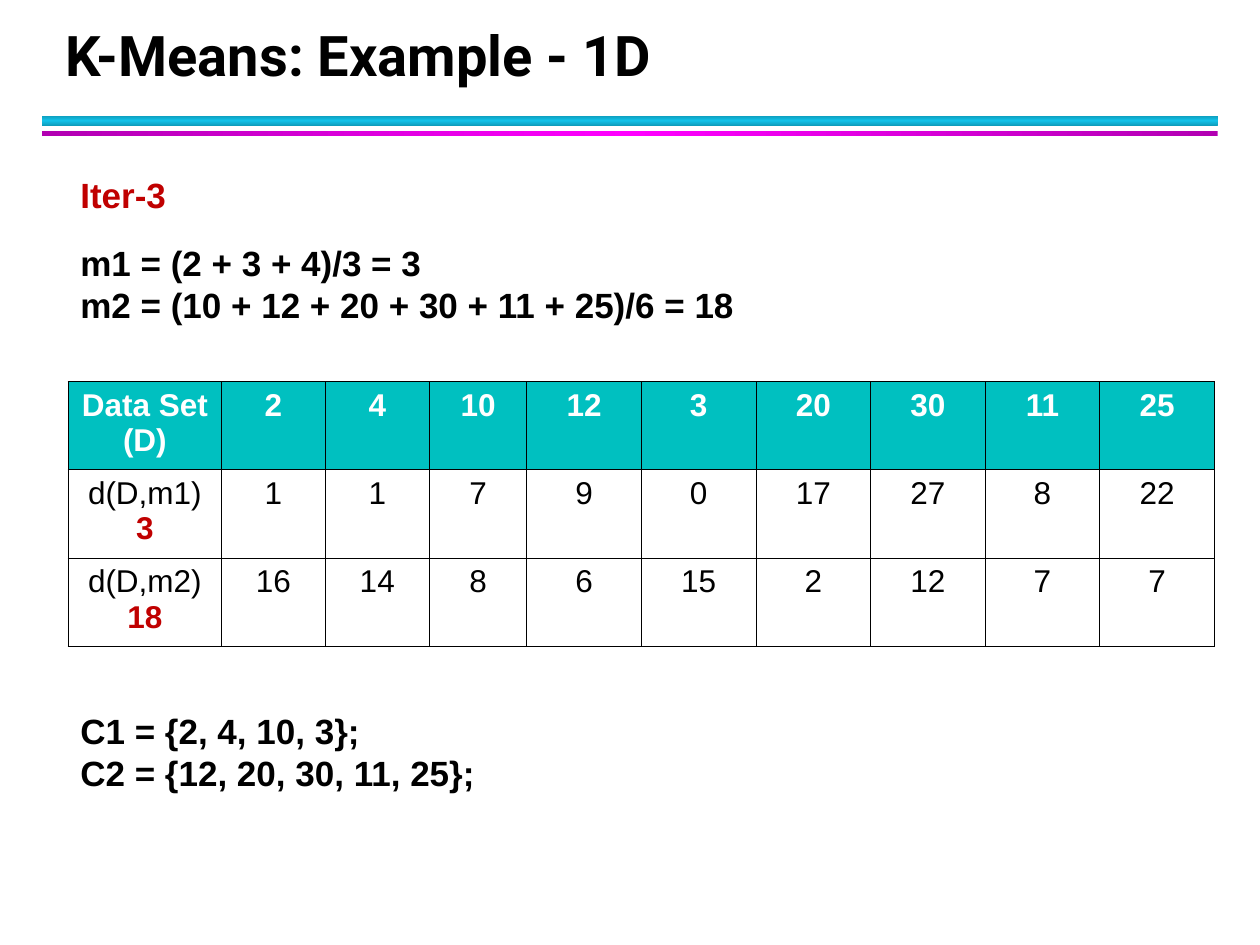
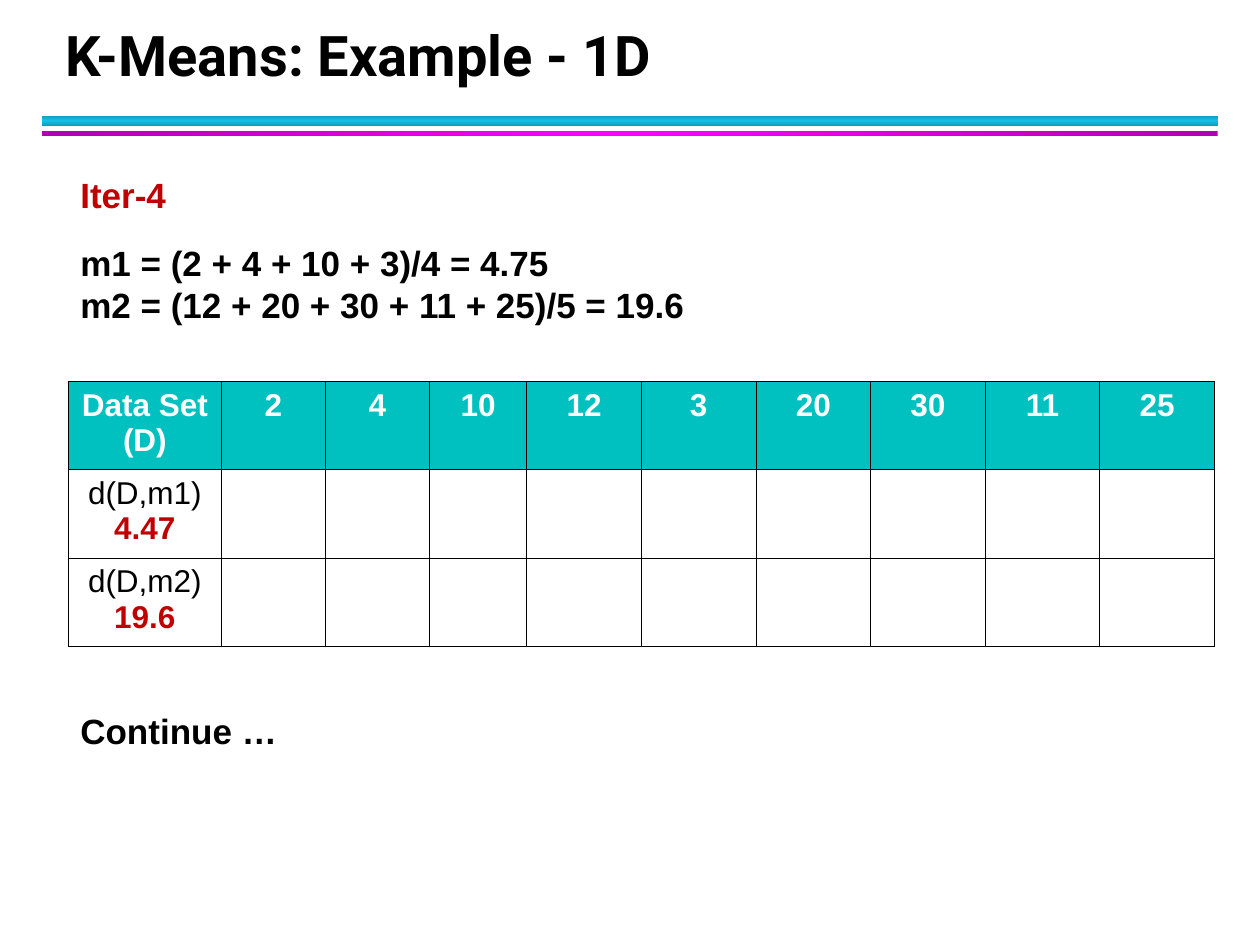
from dataclasses import dataclass

from lxml import etree
from copy import deepcopy
from pptx import Presentation
from pptx.dml.color import RGBColor
from pptx.enum.shapes import MSO_SHAPE
from pptx.enum.text import MSO_ANCHOR, MSO_AUTO_SIZE, PP_ALIGN
from pptx.oxml.ns import qn
from pptx.slide import Slide, SlideLayout
from pptx.text.text import TextFrame
from pptx.util import Cm, Pt

RECT = MSO_SHAPE.RECTANGLE
LOW = MSO_ANCHOR.BOTTOM
FIXED = MSO_AUTO_SIZE.NONE
LEFT, MID = PP_ALIGN.LEFT, PP_ALIGN.CENTER

BLACK, WHITE, RED, TEAL = "000000", "FFFFFF", "C00000", "00C0C0"
TITLE = "K-Means: Example - 1D"
POINTS = [2, 4, 10, 12, 3, 20, 30, 11, 25]
EDGE = 1.37
WIDTHS = [3.1, 2.08, 2.11, 1.96] + [2.31] * 6
ROW = 1.78
SIDES = ("a:lnL", "a:lnR", "a:lnT", "a:lnB")


@dataclass
class Band:
    top: float
    height: float
    angle: int
    outer: str
    inner: str


@dataclass
class Note:
    text: str
    top: float
    width: float
    height: float
    tint: str = BLACK


@dataclass
class Step:
    name: str
    means: str
    mean1: str
    mean2: str
    dist1: list[int]
    dist2: list[int]
    result: str
    depth: float


BANDS = [
    Band(2.33, 0.21, 90, "0E9BBA", "12C2E9"),
    Band(2.64, 0.11, 0, "B200B2", "FF00FF"),
]
STEPS = [
    Step(
        "Iter-3",
        "m1 = (2 + 3 + 4)/3 = 3\nm2 = (10 + 12 + 20 + 30 + 11 + 25)/6 = 18",
        "3", "18",
        [1, 1, 7, 9, 0, 17, 27, 8, 22],
        [16, 14, 8, 6, 15, 2, 12, 7, 7],
        "C1 = {2, 4, 10, 3};\nC2 = {12, 20, 30, 11, 25};", 2.79,
    ),
    Step(
        "Iter-4",
        "m1 = (2 + 4 + 10 + 3)/4 = 4.75\nm2 = (12 + 20 + 30 + 11 + 25)/5 = 19.6",
        "4.47", "19.6", [], [],
        "Continue …", 1.96,
    ),
]


def paint(code: str) -> RGBColor:
    return RGBColor.from_string(code)


def style(frame: TextFrame, size: int, tint: str, bold: bool = True,
          face: str = "Arial", align: PP_ALIGN = LEFT,
          pitch: int | None = None) -> None:
    for para in frame.paragraphs:
        para.alignment = align
        if pitch:
            para.line_spacing = Pt(pitch)
        for run in para.runs:
            font = run.font
            font.name, font.size, font.bold = face, Pt(size), bold
            font.color.rgb = paint(tint)


def add_band(slide: Slide, layout: SlideLayout, band: Band) -> None:
    shape = slide.shapes.add_shape(
        RECT, Cm(0.85), Cm(band.top), Cm(23.7), Cm(band.height))
    shape.shadow.inherit = False
    shape.line.fill.background()
    shape.fill.gradient()
    shape.fill.gradient_angle = band.angle
    stops = next(shape.element.iter(qn("a:gsLst")))
    stops.append(deepcopy(stops[-1]))
    tints = (band.outer, band.inner, band.outer)
    for stop, place, tint in zip(shape.fill.gradient_stops, (0, 0.5, 1), tints):
        stop.position = place
        stop.color.rgb = paint(tint)
    layout.shapes.element.append(shape.element)


def add_title(slide: Slide) -> None:
    title = slide.shapes.title
    title.left, title.top = Cm(1.07), Cm(0.43)
    title.width, title.height = Cm(23.01), Cm(1.47)
    frame = title.text_frame
    frame.text = TITLE
    frame.vertical_anchor = LOW
    frame.auto_size = FIXED
    style(frame, 32, BLACK, face="Roboto", pitch=36)


def add_note(slide: Slide, note: Note) -> None:
    box = slide.shapes.add_textbox(
        Cm(EDGE), Cm(note.top), Cm(note.width), Cm(note.height))
    frame = box.text_frame
    frame.word_wrap = True
    frame.text = note.text
    style(frame, 20, note.tint, pitch=24)


def add_lines(cell: etree.ElementBase) -> None:
    props = cell.get_or_add_tcPr()
    for spot, side in enumerate(SIDES):
        line = etree.Element(qn(side), w=str(Pt(0.45)))
        fill = etree.SubElement(line, qn("a:solidFill"))
        etree.SubElement(fill, qn("a:srgbClr"), val=BLACK)
        props.insert(spot, line)


def add_grid(slide: Slide, step: Step) -> None:
    blank = [""] * len(POINTS)
    rows = [
        ["Data Set\n(D)", *POINTS],
        [f"d(D,m1)\n{step.mean1}", *(step.dist1 or blank)],
        [f"d(D,m2)\n{step.mean2}", *(step.dist2 or blank)],
    ]
    holder = slide.shapes.add_table(
        len(rows), len(WIDTHS), Cm(EDGE), Cm(7.69),
        Cm(sum(WIDTHS)), Cm(ROW * len(rows)))
    table = holder.table
    table.horz_banding = False
    for col, width in zip(table.columns, WIDTHS):
        col.width = Cm(width)
    for r, row in enumerate(rows):
        table.rows[r].height = Cm(ROW)
        for c, value in enumerate(row):
            cell = table.cell(r, c)
            head = r == 0
            if head:
                cell.fill.solid()
                cell.fill.fore_color.rgb = paint(TEAL)
            else:
                cell.fill.background()
            frame = cell.text_frame
            frame.text = str(value)
            style(frame, 18, WHITE if head else BLACK, head, align=MID)
            if c == 0 and not head:
                font = frame.paragraphs[1].runs[0].font
                font.bold = True
                font.color.rgb = paint(RED)
    for cell in holder.element.iter(qn("a:tc")):
        add_lines(cell)


def main() -> None:
    deck = Presentation()
    deck.slide_width, deck.slide_height = Cm(25.4), Cm(19.05)
    layout = deck.slide_layouts[5]
    slides = [deck.slides.add_slide(layout) for _ in STEPS]
    for band in BANDS:
        add_band(slides[0], layout, band)
    for slide, step in zip(slides, STEPS):
        add_title(slide)
        add_grid(slide, step)
        add_note(slide, Note(step.name, 3.38, 22.33, 1.12, RED))
        add_note(slide, Note(step.means, 4.75, 21.26, 2.79))
        add_note(slide, Note(step.result, 14.17, 12.7, step.depth))
    deck.save("out.pptx")


if __name__ == "__main__":
    main()
